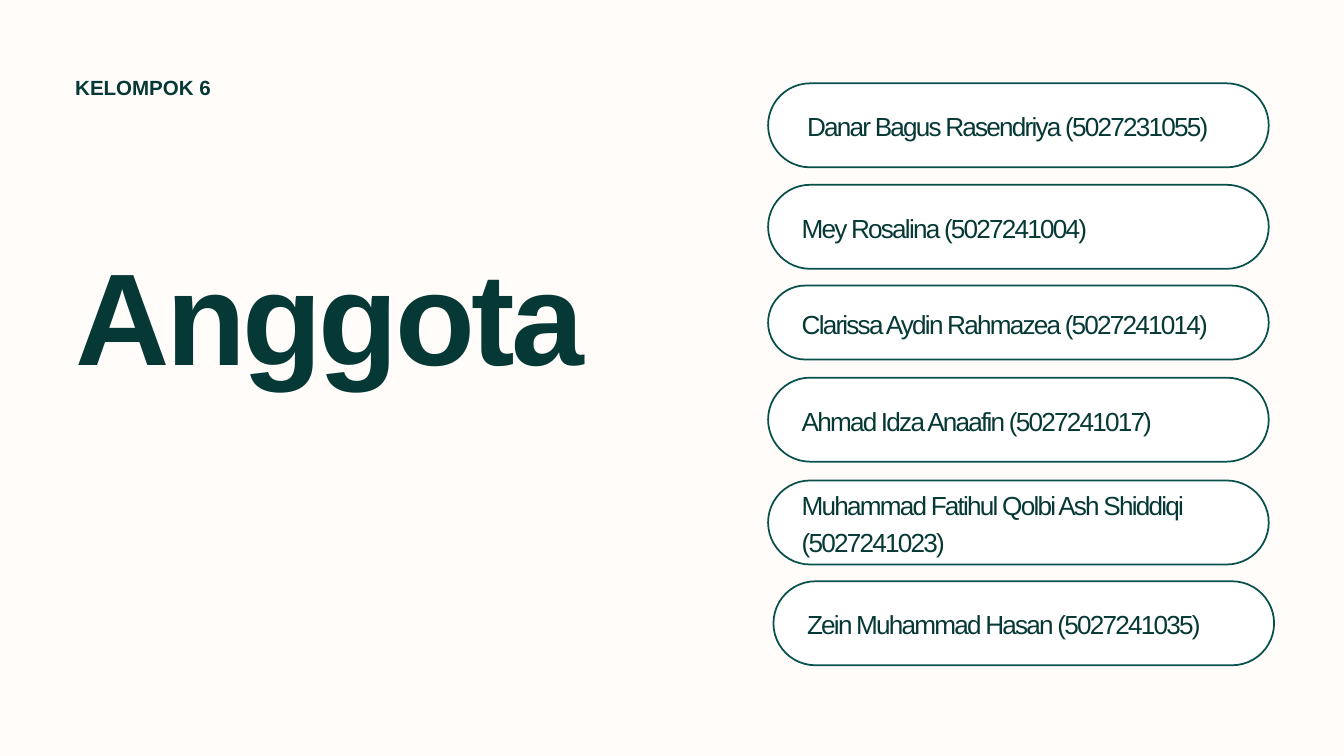
from pptx import Presentation
from pptx.dml.color import RGBColor
from pptx.enum.shapes import MSO_SHAPE
from pptx.enum.text import MSO_AUTO_SIZE
from pptx.util import Inches, Pt

COLORS = {"background": "FFFCFA", "pill": "FFFFFF", "outline": "08504B", "text": "063935"}


def rgb(name):
    return RGBColor.from_string(COLORS[name])


def add_text(text, box, size, leading, bold=False, spacing=0):
    """Add a text box; leading is in points, spacing in hundredths of a point."""
    tf = s.shapes.add_textbox(*[Inches(v) for v in box]).text_frame
    frame_format = {"margin_left": 0, "margin_top": 0, "margin_right": 0, "margin_bottom": 0,
                    "word_wrap": True, "auto_size": MSO_AUTO_SIZE.SHAPE_TO_FIT_TEXT}
    for key, value in frame_format.items():
        setattr(tf, key, value)
    p = tf.paragraphs[0]
    p.line_spacing = Pt(leading)
    r = p.add_run()
    r.text = text
    for key, value in {"name": "Arial", "size": Pt(size), "bold": bold}.items():
        setattr(r.font, key, value)
    r.font.color.rgb = rgb("text")
    if spacing:
        r._r.get_or_add_rPr().set("spc", str(spacing))


prs = Presentation()
prs.slide_width, prs.slide_height = Inches(20), Inches(11.25)
s = prs.slides.add_slide(prs.slide_layouts[6])
s.background.fill.solid()
s.background.fill.fore_color.rgb = rgb("background")

add_text("KELOMPOK 6", (1.12, 1.15, 4.1, 0.34), 22, 24.2, bold=True)
add_text("Anggota", (1.12, 3.88, 7.82, 2.05), 140, 140, bold=True, spacing=-380)

# name and number, pill left, pill top, pill height, text left, text top, text height
members = [
    ("Danar Bagus Rasendriya (5027231055)", 11.43, 1.24, 1.25, 12.01, 1.57, 0.53),
    ("Mey Rosalina (5027241004)", 11.43, 2.75, 1.25, 11.93, 3.09, 0.53),
    ("Clarissa Aydin Rahmazea (5027241014)", 11.43, 4.25, 1.1, 11.93, 4.51, 0.53),
    ("Ahmad Idza Anaafin (5027241017)", 11.43, 5.62, 1.25, 11.93, 5.95, 0.53),
    ("Muhammad Fatihul Qolbi Ash Shiddiqi (5027241023)", 11.43, 7.15, 1.25, 11.93, 7.21, 1.07),
    ("Zein Muhammad Hasan (5027241035)", 11.51, 8.65, 1.25, 12.01, 8.98, 0.53),
]
for member, left, top, height, text_left, text_top, text_height in members:
    pill = s.shapes.add_shape(MSO_SHAPE.ROUNDED_RECTANGLE, Inches(left), Inches(top),
                              Inches(7.45), Inches(height))
    pill.adjustments[0] = 0.5
    pill.shadow.inherit = False
    pill.fill.solid()
    pill.fill.fore_color.rgb = rgb("pill")
    pill.line.color.rgb = rgb("outline")
    pill.line.width = Pt(1.87)
    add_text(member, (text_left, text_top, 6.45, text_height), 28, 39.2, spacing=-190)

prs.save("out.pptx")
